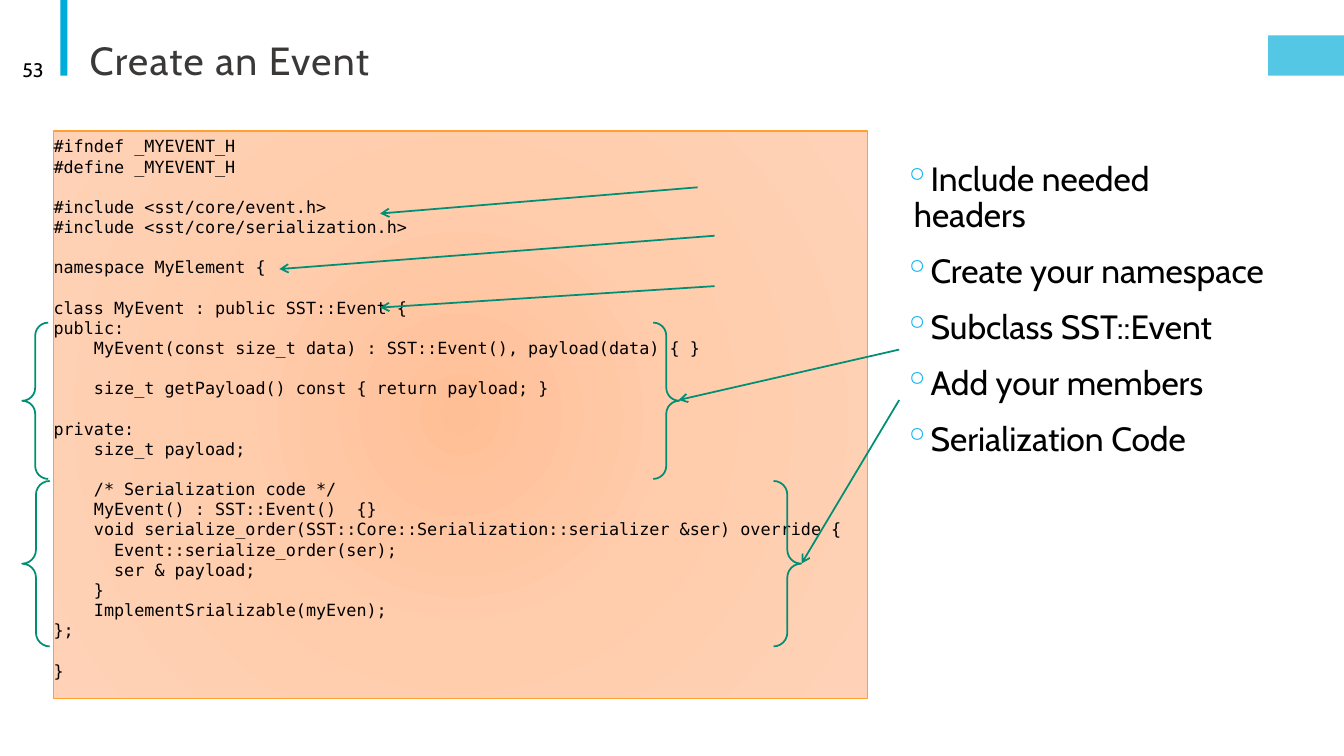
from lxml import etree
from pptx import Presentation
from pptx.dml.color import RGBColor
from pptx.enum.shapes import MSO_CONNECTOR as Connector, MSO_SHAPE as Preset
from pptx.enum.text import MSO_ANCHOR as Anchor, PP_ALIGN as Align
from pptx.oxml import parse_xml
from pptx.oxml.ns import nsdecls, qn
from pptx.util import Cm, Pt

COLORS = {
    "bar": "00ACD9", "title": "3B3838", "text": "000000", "bullet": "00B0F0",
    "code_line": "FFA033", "mark": "008E74",
}
CODE_GRADIENT = [(0, "FFBF96"), (45, "FFCCAC"), (100, "FFD2B7")]
SANS, MONO = "Cabin", "DejaVu Sans Mono"
CODE_LEADING = 14.4

CODE = """#ifndef _MYEVENT_H
#define _MYEVENT_H

#include <sst/core/event.h>
#include <sst/core/serialization.h>

namespace MyElement {

class MyEvent : public SST::Event {
public:
    MyEvent(const size_t data) : SST::Event(), payload(data) { }

    size_t getPayload() const { return payload; }

private:
    size_t payload;

    /* Serialization code */
    MyEvent() : SST::Event()  {}
    void serialize_order(SST::Core::Serialization::serializer &ser) override {
      Event::serialize_order(ser);
      ser & payload;
    }
    ImplementSrializable(myEven);
};

}"""
STEPS = ["Include needed headers", "Create your namespace", "Subclass SST::Event",
         "Add your members", "Serialization Code"]


def color(name):
    """Return the named palette colour."""
    return RGBColor.from_string(COLORS[name])


def add_shape(slide, preset, box, fill=None, line=None, width=1.25):
    """Add a flat preset shape in a box of centimetres."""
    shape = slide.shapes.add_shape(preset, *map(Cm, box))
    shape.shadow.inherit = False
    if fill:
        shape.fill.solid()
        shape.fill.fore_color.rgb = color(fill)
    else:
        shape.fill.background()
    if line:
        shape.line.color.rgb = color(line)
        shape.line.width = Pt(width)
    else:
        shape.line.fill.background()
    return shape


def add_bullet(paragraph):
    """Give a paragraph a coloured ring bullet with a hanging indent."""
    properties = paragraph._p.get_or_add_pPr()
    properties.set("marL", str(Cm(0.25)))
    properties.set("indent", str(-Cm(0.5)))
    bullet_color = etree.SubElement(properties, qn("a:buClr"))
    etree.SubElement(bullet_color, qn("a:srgbClr")).set("val", COLORS["bullet"])
    etree.SubElement(properties, qn("a:buChar")).set("char", "◦")


def write(frame, lines, size, font=SANS, fill="text", align=Align.LEFT, anchor=Anchor.TOP,
          insets=(0.25, 0.13), spacing=None, before=0, after=0, bullet=False,
          tracking=0, gap=0):
    """Write lines as paragraphs, turning each empty line into space before the next."""
    frame.word_wrap = True
    frame.vertical_anchor = anchor
    frame.margin_left = frame.margin_right = Cm(insets[0])
    frame.margin_top = frame.margin_bottom = Cm(insets[1])
    paragraph = None
    skipped = 0
    for line in lines:
        if not line:
            skipped += 1
            continue
        first = paragraph is None
        paragraph = frame.paragraphs[0] if first else frame.add_paragraph()
        paragraph.alignment = align
        paragraph.line_spacing = spacing
        paragraph.space_before = Pt(0 if first else before + skipped * gap)
        paragraph.space_after = Pt(after)
        if bullet:
            add_bullet(paragraph)
        run = paragraph.add_run()
        run.text = line
        run.font.name, run.font.size = font, Pt(size)
        run.font.color.rgb = color(fill)
        if tracking:
            run.font._element.set("spc", str(tracking * 100))
        skipped = 0


def add_text(slide, box, lines, **text_format):
    """Add a text box with formatted lines."""
    write(slide.shapes.add_textbox(*map(Cm, box)).text_frame, lines, **text_format)


def add_arrow(slide, start, end):
    """Draw an open-headed arrow between two points."""
    arrow = slide.shapes.add_connector(Connector.STRAIGHT, *map(Cm, start + end))
    arrow.line.color.rgb = color("mark")
    arrow.line.width = Pt(1.25)
    etree.SubElement(arrow.line._get_or_add_ln(), qn("a:tailEnd")).set("type", "arrow")
    etree.SubElement(arrow._element.spPr, qn("a:effectLst"))


def add_header(slide, box):
    """Place the page number, title and accent bars."""
    left, top, width, height = box
    add_shape(slide, Preset.RECTANGLE, (left + 1.52, top, 0.18, height), fill="bar")
    tab = add_shape(slide, Preset.RECTANGLE, (left + width - 1.91, top + 0.89, 1.91, 1.02),
                    fill="bar")
    tint = tab._element.spPr.find(qn("a:solidFill"))[0]
    etree.SubElement(tint, qn("a:alpha")).set("val", "67000")
    add_text(slide, (left + 2.01, top + 0.66, 27.94, 1.57), ["Create an Event"], size=28,
             fill="title", anchor=Anchor.BOTTOM, spacing=0.85, tracking=1)
    add_text(slide, (left + 0.18, top + 1.24, 1.17, 1.02), ["53"], size=14,
             align=Align.RIGHT, anchor=Anchor.MIDDLE)


def add_code(slide, box):
    """Place the code listing on its radial gradient panel."""
    panel = add_shape(slide, Preset.RECTANGLE, box, line="code_line", width=1)
    stops = "".join(f'<a:gs pos="{place * 1000}"><a:srgbClr val="{tone}"/></a:gs>'
                    for place, tone in CODE_GRADIENT)
    gradient = parse_xml(
        f'<a:gradFill {nsdecls("a")} rotWithShape="1"><a:gsLst>{stops}</a:gsLst>'
        '<a:path path="circle"><a:fillToRect l="100000" t="100000" r="100000" b="100000"/>'
        '</a:path></a:gradFill>')
    properties = panel._element.spPr
    properties.replace(properties.find(qn("a:noFill")), gradient)
    write(panel.text_frame, CODE.split("\n"), size=12, font=MONO, insets=(0, 0.13),
          gap=CODE_LEADING)


def add_steps(slide, box):
    """Place the bulleted list of steps."""
    add_text(slide, box, STEPS, size=24, insets=(0, 0.13), spacing=0.9, before=12, after=2,
             bullet=True)


def add_marks(slide, box):
    """Place braces and arrows that tie the steps to the code."""
    left, top, width, height = box
    points = [((16.23, 1.42), (8.23, 2.08)), ((16.66, 2.64), (5.69, 3.48)),
              ((16.66, 3.91), (8.23, 4.45)), ((width + 0.79, 5.51), (15.75, 6.78)),
              ((width + 0.79, 6.78), (18.85, 10.9))]
    for start, end in points:
        add_arrow(slide, (left + start[0], top + start[1]), (left + end[0], top + end[1]))
    for offset, brace_width, brace_height in [(8.82, 19.63, 4.17), (4.83, 16.56, 3.94)]:
        add_shape(slide, Preset.DOUBLE_BRACE,
                  (left - 0.79, top + offset, brace_width, brace_height), line="mark")


def main():
    """Build and save the slide."""
    presentation = Presentation()
    presentation.slide_width, presentation.slide_height = Cm(33.87), Cm(19.05)
    slide = presentation.slides.add_slide(presentation.slide_layouts[6])
    code_box = (1.35, 3.3, 20.52, 14.3)
    add_header(slide, (0, 0, 33.87, 1.91))
    add_steps(slide, (22.78, 3.96, 9.2, 12.95))
    add_code(slide, code_box)
    add_marks(slide, code_box)
    presentation.save("out.pptx")


if __name__ == "__main__":
    main()
